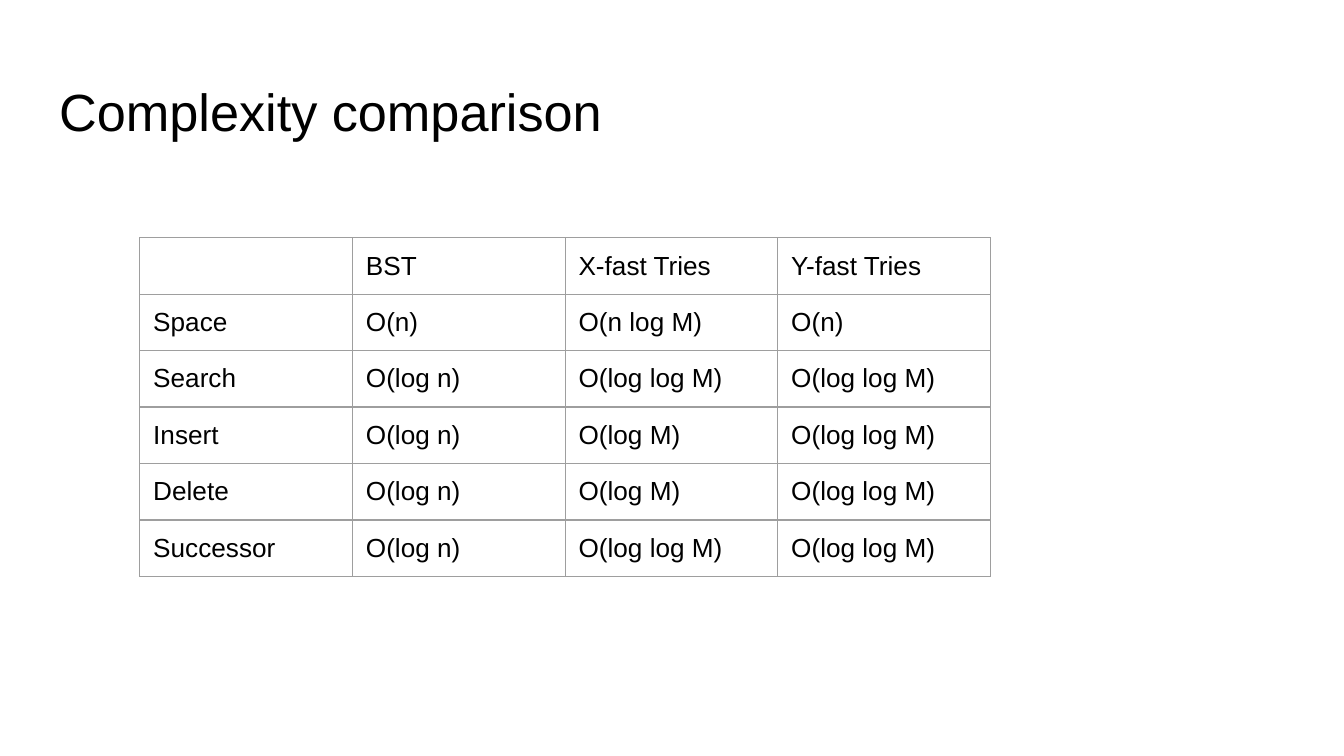
from typing import NamedTuple

from lxml.etree import SubElement
from pptx import Presentation
from pptx.dml.color import RGBColor
from pptx.enum.text import MSO_ANCHOR, PP_ALIGN
from pptx.oxml.ns import qn
from pptx.util import Inches, Pt

BLACK = RGBColor(0x00, 0x00, 0x00)
WHITE = RGBColor(0xFF, 0xFF, 0xFF)
GRID_GRAY = RGBColor(0x9E, 0x9E, 0x9E)
FONT = "Arial"
CELL_SIZE = Pt(14)
INSET = Inches(0.1)


class Complexity(NamedTuple):
    operation: str
    bst: str
    x_fast: str
    y_fast: str


COMPARISON = [
    Complexity("", "BST", "X-fast Tries", "Y-fast Tries"),
    Complexity("Space", "O(n)", "O(n log M)", "O(n)"),
    Complexity("Search", "O(log n)", "O(log log M)", "O(log log M)"),
    Complexity("Insert", "O(log n)", "O(log M)", "O(log log M)"),
    Complexity("Delete", "O(log n)", "O(log M)", "O(log log M)"),
    Complexity("Successor", "O(log n)", "O(log log M)", "O(log log M)"),
]


def style_text(paragraph, size: Pt) -> None:
    paragraph.alignment = PP_ALIGN.LEFT
    paragraph.font.name = FONT
    paragraph.font.size = size
    paragraph.font.color.rgb = BLACK


def set_insets(holder) -> None:
    holder.margin_left = holder.margin_right = INSET
    holder.margin_top = holder.margin_bottom = INSET


def add_borders(cell) -> None:
    """Line all four sides; borders must precede the fill in the cell."""
    properties = cell._tc.get_or_add_tcPr()
    for index, side in enumerate(("a:lnL", "a:lnR", "a:lnT", "a:lnB")):
        line = SubElement(properties, qn(side), w=str(Pt(0.75)))
        fill = SubElement(line, qn("a:solidFill"))
        SubElement(fill, qn("a:srgbClr"), val=str(GRID_GRAY))
        properties.insert(index, line)


def fill_cell(cell, text: str) -> None:
    cell.fill.background()
    add_borders(cell)
    set_insets(cell)
    cell.text = text
    paragraph = cell.text_frame.paragraphs[0]
    style_text(paragraph, CELL_SIZE)
    if not text:
        # An empty cell takes its line height from the end mark
        SubElement(paragraph._p, qn("a:endParaRPr"), sz=str(int(CELL_SIZE.pt * 100)))


def add_comparison(slide, rows: list[Complexity]) -> None:
    table = slide.shapes.add_table(
        len(rows), len(Complexity._fields),
        Inches(1.04), Inches(1.77), Inches(6.33), Inches(0.42) * len(rows),
    ).table
    table.first_row = table.horz_banding = False
    for row_index, row in enumerate(rows):
        for column_index, text in enumerate(row):
            fill_cell(table.cell(row_index, column_index), text)


# Widescreen 16:9 slide
prs = Presentation()
prs.slide_width = Inches(10)
prs.slide_height = prs.slide_width * 9 // 16
slide = prs.slides.add_slide(prs.slide_layouts[5])
slide.background.fill.solid()
slide.background.fill.fore_color.rgb = WHITE

# Heading
heading = slide.shapes.title
heading.left, heading.top = Inches(0.34), Inches(0.49)
heading.width, heading.height = Inches(9.32), Inches(0.63)
heading.text_frame.text = "Complexity comparison"
heading.text_frame.vertical_anchor = MSO_ANCHOR.TOP
set_insets(heading.text_frame)
style_text(heading.text_frame.paragraphs[0], Pt(28))

# Complexity table
add_comparison(slide, COMPARISON)

prs.save("out.pptx")
